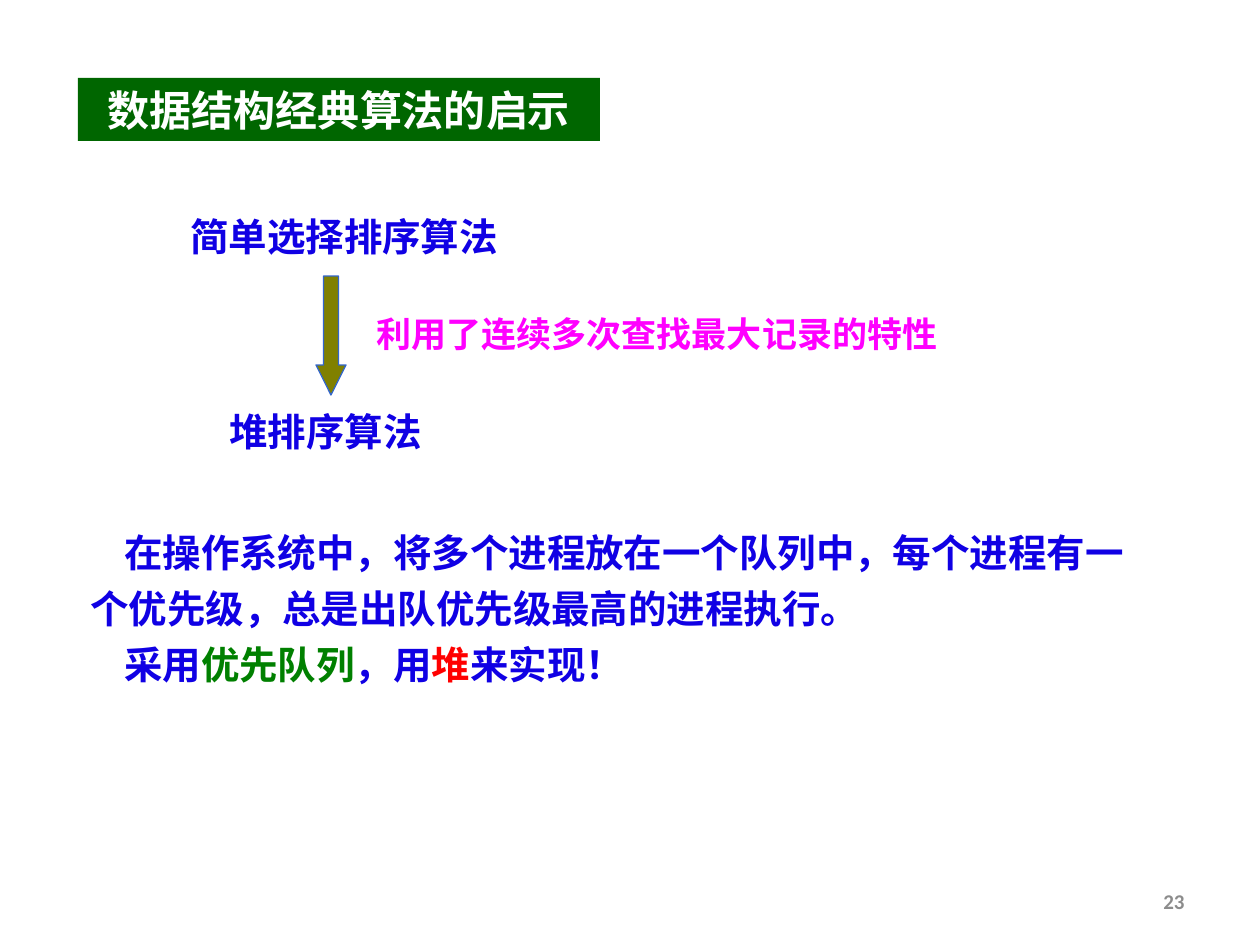
from lxml import etree
from pptx import Presentation
from pptx.dml.color import RGBColor
from pptx.enum.shapes import MSO_SHAPE
from pptx.enum.text import MSO_ANCHOR, MSO_AUTO_SIZE, PP_ALIGN
from pptx.oxml.ns import qn
from pptx.util import Emu, Pt

DOWN_ARROW = MSO_SHAPE.DOWN_ARROW
LEFT, CENTER, RIGHT = PP_ALIGN.LEFT, PP_ALIGN.CENTER, PP_ALIGN.RIGHT
MIDDLE = MSO_ANCHOR.MIDDLE
NO_FIT = MSO_AUTO_SIZE.NONE

WHITE = RGBColor(0xFF, 0xFF, 0xFF)
DARK_GREEN = RGBColor(0x00, 0x66, 0x00)
GREEN = RGBColor(0x00, 0x80, 0x00)
BLUE = RGBColor(0x10, 0x00, 0xE4)
MAGENTA = RGBColor(0xFF, 0x00, 0xFF)
RED = RGBColor(0xFF, 0x00, 0x00)
OLIVE = RGBColor(0x80, 0x80, 0x00)
ARROW_EDGE = RGBColor(0x33, 0x66, 0xCC)
GRAY = RGBColor(0x8C, 0x8C, 0x8C)

CHINESE_FONT = "Noto Sans CJK SC"
NUMBER_FONT = "Calibri"
TITLE_ONLY = 5
PX = 914400 / 126


def px(value):
    return Emu(round(value * PX))


class Page:
    """Holds the text style and the slide being drawn."""

    def __init__(self, slide):
        self.slide = slide
        self.style = {"name": CHINESE_FONT, "bold": True}

    def add_span(self, para, text, size, color, **changes):
        span = para.add_run()
        span.text = text
        for key, value in {**self.style, "size": Pt(size), **changes}.items():
            setattr(span.font, key, value)
        span.font.color.rgb = color
        # The public font name covers Latin letters only.
        east_asian = etree.SubElement(span.font._element, qn("a:ea"))
        east_asian.set("typeface", span.font.name)

    def format_frame(self, frame):
        values = {"word_wrap": True, "auto_size": NO_FIT, "vertical_anchor": MIDDLE,
                  "margin_left": Pt(7.2), "margin_right": Pt(7.2),
                  "margin_top": Pt(3.6), "margin_bottom": Pt(3.6)}
        for key, value in values.items():
            setattr(frame, key, value)

    def title(self, text, left, top, width, height):
        title = self.slide.shapes.title
        bounds = {"left": left, "top": top, "width": width, "height": height}
        for key, value in bounds.items():
            setattr(title, key, px(value))
        title.fill.solid()
        title.fill.fore_color.rgb = DARK_GREEN
        self.format_frame(title.text_frame)
        para = title.text_frame.paragraphs[0]
        para.alignment = CENTER
        self.add_span(para, text, 24, WHITE)

    def text_box(self, left, top, width, height):
        box = self.slide.shapes.add_textbox(*map(px, (left, top, width, height)))
        self.format_frame(box.text_frame)
        return box.text_frame

    def label(self, text, bounds, size, color, align=LEFT, **changes):
        para = self.text_box(*bounds).paragraphs[0]
        para.alignment = align
        self.add_span(para, text, size, color, **changes)

    def prose(self, paragraphs, bounds, size, indent):
        """Each paragraph is a list of (text, color) pairs."""
        frame = self.text_box(*bounds)
        for index, spans in enumerate(paragraphs):
            para = frame.add_paragraph() if index else frame.paragraphs[0]
            para.line_spacing = Pt(32)
            para._p.get_or_add_pPr().set("indent", str(px(indent)))
            for text, color in spans:
                self.add_span(para, text, size, color)

    def down_arrow(self, left, top, width, height):
        arrow = self.slide.shapes.add_shape(
            DOWN_ARROW, *map(px, (left, top, width, height)))
        arrow.adjustments[0], arrow.adjustments[1] = 0.5, 1
        arrow.shadow.inherit = False
        arrow.fill.solid()
        arrow.fill.fore_color.rgb = OLIVE
        arrow.line.color.rgb = ARROW_EDGE
        arrow.line.width = Pt(0.75)


def main():
    deck = Presentation()
    deck.slide_width, deck.slide_height = px(1260), px(945)
    page = Page(deck.slides.add_slide(deck.slide_layouts[TITLE_ONLY]))

    page.title("数据结构经典算法的启示", 78, 78, 522, 63)
    page.label("简单选择排序算法", (178, 207, 407, 59), 22, BLUE)
    page.label("堆排序算法", (217, 402, 268, 59), 22, BLUE)
    page.label("利用了连续多次查找最大记录的特性", (364, 306, 724, 55), 20, MAGENTA)
    page.down_arrow(316, 276, 30, 119)
    page.prose([
        [("在操作系统中，将多个进程放在一个队列中，每个进程有一个优先级，"
          "总是出队优先级最高的进程执行。", BLUE)],
        [("采用", BLUE), ("优先队列", GREEN), ("，用", BLUE),
         ("堆", RED), ("来实现！", BLUE)],
    ], (78, 512, 1082, 183), 22, indent=34)
    page.label("23", (903, 876, 294, 50), 12, GRAY, RIGHT, name=NUMBER_FONT)

    deck.save("out.pptx")


if __name__ == "__main__":
    main()
